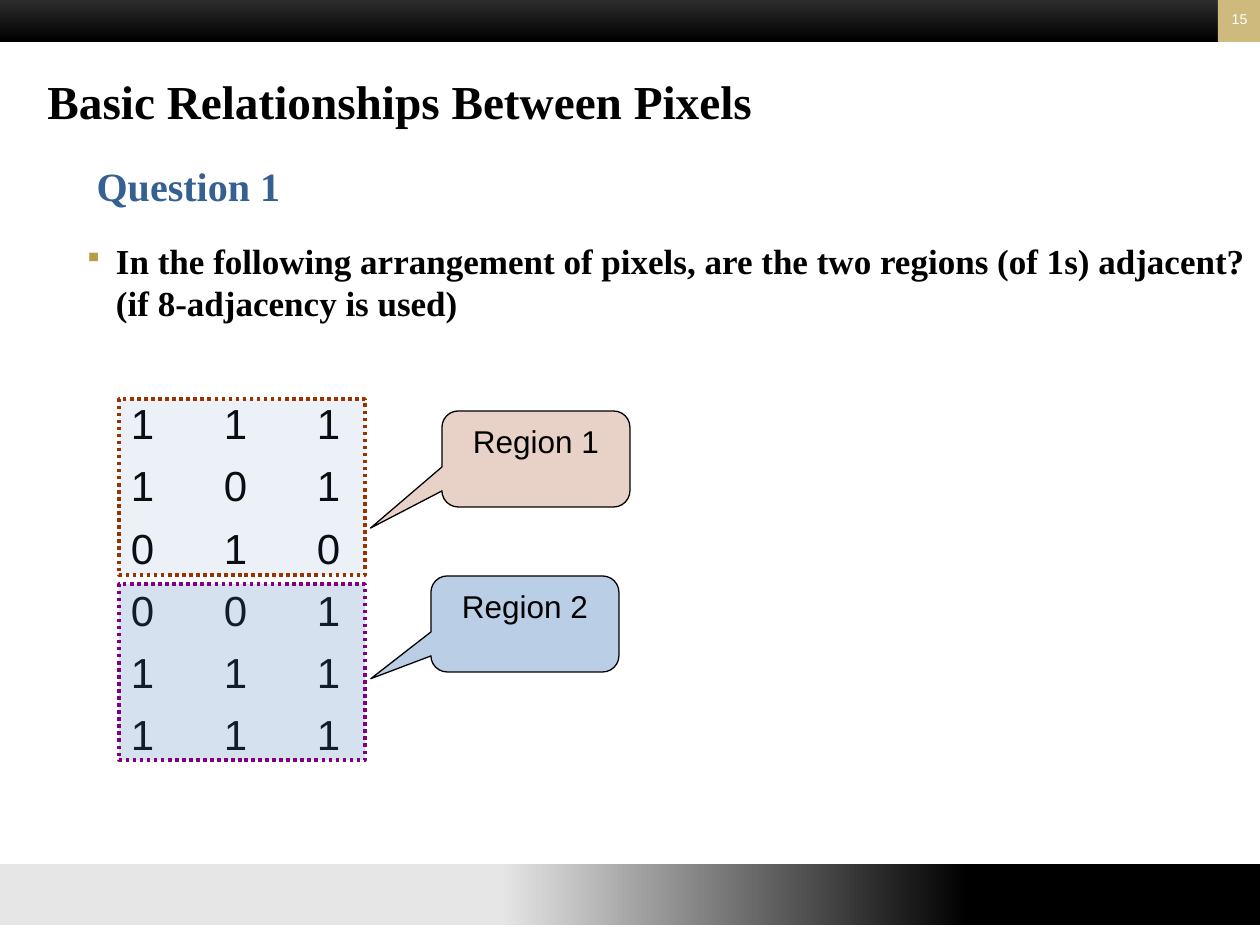
import pptx
import pptx.util
import pptx.dml.color
import pptx.enum.dml
import pptx.enum.shapes
import pptx.enum.text
from lxml import etree
from pptx.oxml.ns import qn

SCALE = 914400 / 126
COLORS = {
    "black": "000000", "white": "FFFFFF", "coal": "333333", "mist": "E6E6E6",
    "sand": "CFBA7D", "gold": "B99B49", "navy": "376092", "blue": "4F81BD",
    "rust": "993300", "plum": "800080",
}
SHAPE = pptx.enum.shapes.MSO_SHAPE
ALIGN = pptx.enum.text.PP_ALIGN
ANCHOR = pptx.enum.text.MSO_ANCHOR
SERIF, SANS = "Times New Roman", "Arial"
ROWS = ["111", "101", "010", "001", "111", "111"]
TABS = [47, 140, 233]


def px(num):
    """Turn pixels into EMU."""
    return pptx.util.Emu(round(num * SCALE))


def rgb(name):
    """Look up a named colour."""
    return pptx.dml.color.RGBColor.from_string(COLORS[name])


def place(item, box):
    """Set left, top, width and height."""
    item.left, item.top, item.width, item.height = map(px, box)


def write(para, text, size, font, color, bold=False):
    """Add one formatted run to a paragraph."""
    run = para.add_run()
    run.text = text
    run.font.size = pptx.util.Pt(size)
    run.font.name = font
    run.font.bold = bold
    run.font.color.rgb = rgb(color)


def add_form(slide, kind, box, fill=None, alpha=100, line=None, width=0.75, adj=()):
    """Add a preset shape with its fill and line."""
    form = slide.shapes.add_shape(kind, *map(px, box))
    form.shadow.inherit = False
    for i, val in enumerate(adj):
        form.adjustments[i] = val
    if fill:
        form.fill.solid()
        form.fill.fore_color.rgb = rgb(fill)
    if alpha < 100:
        tint = form._element.spPr.find(".//" + qn("a:srgbClr"))
        etree.SubElement(tint, qn("a:alpha"), val=str(alpha * 1000))
    if line:
        form.line.color.rgb = rgb(line)
        form.line.width = pptx.util.Pt(width)
    else:
        form.line.fill.background()
    return form


def blend(form, angle, stops):
    """Give a shape a two-stop gradient."""
    form.fill.gradient()
    form.fill.gradient_angle = angle
    for stop, (pos, color) in zip(form.fill.gradient_stops, stops):
        stop.position = pos
        stop.color.rgb = rgb(color)


def add_bars(slide):
    """Add the bars at the top and bottom."""
    base = add_form(slide, SHAPE.ROUNDED_RECTANGLE, (-21, 863, 1302, 63),
                    line="white", adj=[0])
    blend(base, 0, [(0.4, "mist"), (0.76, "black")])
    head = add_form(slide, SHAPE.RECTANGLE, (0, -6, 1218, 48))
    blend(head, 270, [(0, "coal"), (1, "black")])
    add_form(slide, SHAPE.RECTANGLE, (1218, -6, 42, 48), "sand")


def add_label(slide, box, text, size, font, color, bold=False, align=ALIGN.LEFT, wrap=True):
    """Add a text box with one centred line."""
    frame = slide.shapes.add_textbox(*map(px, box)).text_frame
    frame.word_wrap = wrap
    frame.vertical_anchor = ANCHOR.MIDDLE
    para = frame.paragraphs[0]
    para.alignment = align
    write(para, text, size, font, color, bold)


def add_title(slide, text):
    """Place and format the title."""
    title = slide.shapes.title
    place(title, (84, 139, 1103, 94))
    frame = title.text_frame
    frame.vertical_anchor = ANCHOR.MIDDLE
    para = frame.paragraphs[0]
    para.alignment = ALIGN.LEFT
    write(para, text, 22.9, SERIF, "navy", True)


def add_bullet(para):
    """Give a paragraph a gold square bullet."""
    props = para._p.get_or_add_pPr()
    props.set("marL", str(px(32)))
    props.set("indent", str(px(-32)))
    tint = etree.SubElement(props, qn("a:buClr"))
    etree.SubElement(tint, qn("a:srgbClr"), val=COLORS["gold"])
    etree.SubElement(props, qn("a:buSzPct"), val="75000")
    etree.SubElement(props, qn("a:buChar"), char="▪")


def add_tabs(para):
    """Set the tab stops of the pixel columns."""
    tabs = etree.SubElement(para._p.get_or_add_pPr(), qn("a:tabLst"))
    for pos in TABS:
        etree.SubElement(tabs, qn("a:tab"), pos=str(px(pos)), algn="l")


def add_body(slide, text):
    """Add the question and the grid of pixels."""
    frame = slide.shapes.add_textbox(*map(px, (84, 233, 1177, 620))).text_frame
    frame.word_wrap = True
    frame.margin_left = 0
    para = frame.paragraphs[0]
    add_bullet(para)
    write(para, text, 20, SERIF, "black", True)
    for i, row in enumerate(ROWS):
        para = frame.add_paragraph()
        para.space_before = pptx.util.Pt(6.8 if i else 42.4)
        add_tabs(para)
        write(para, "".join("\t" + bit for bit in row), 24, SANS, "black")


def add_region(slide, top, alpha, line):
    """Frame a region of pixels with dots."""
    form = add_form(slide, SHAPE.RECTANGLE, (119, top, 246, 176), "blue", alpha, line, 2)
    form.line.dash_style = pptx.enum.dml.MSO_LINE.ROUND_DOT


def add_callout(slide, left, top, text, fill, alpha, tip):
    """Add a callout that names a region."""
    form = add_form(slide, SHAPE.ROUNDED_RECTANGULAR_CALLOUT, (left, top, 188, 96),
                    fill, alpha, "black", adj=[*tip, 0.17])
    frame = form.text_frame
    frame.vertical_anchor = ANCHOR.TOP
    para = frame.paragraphs[0]
    para.alignment = ALIGN.CENTER
    write(para, text, 18, SANS, "black")


def main():
    """Build and save the slide."""
    deck = pptx.Presentation()
    deck.slide_width, deck.slide_height = px(1260), px(945)
    slide = deck.slides.add_slide(deck.slide_layouts[5])
    add_bars(slide)
    add_title(slide, "Question 1")
    add_body(slide, "In the following arrangement of pixels, are the two regions "
                    "(of 1s) adjacent? (if 8-adjacency is used)")
    add_label(slide, (1218, -6, 42, 50), "15", 8.1, SANS, "white",
              align=ALIGN.RIGHT, wrap=False)
    add_region(slide, 399, 11, "rust")
    add_region(slide, 584, 23, "plum")
    add_callout(slide, 442, 411, "Region 1", "rust", 22, (-0.88, 0.72))
    add_callout(slide, 431, 576, "Region 2", "blue", 39, (-0.82, 0.57))
    add_label(slide, (35, 54, 1103, 94), "Basic Relationships Between Pixels",
              27, SERIF, "black", True)
    deck.save("out.pptx")


if __name__ == "__main__":
    main()
